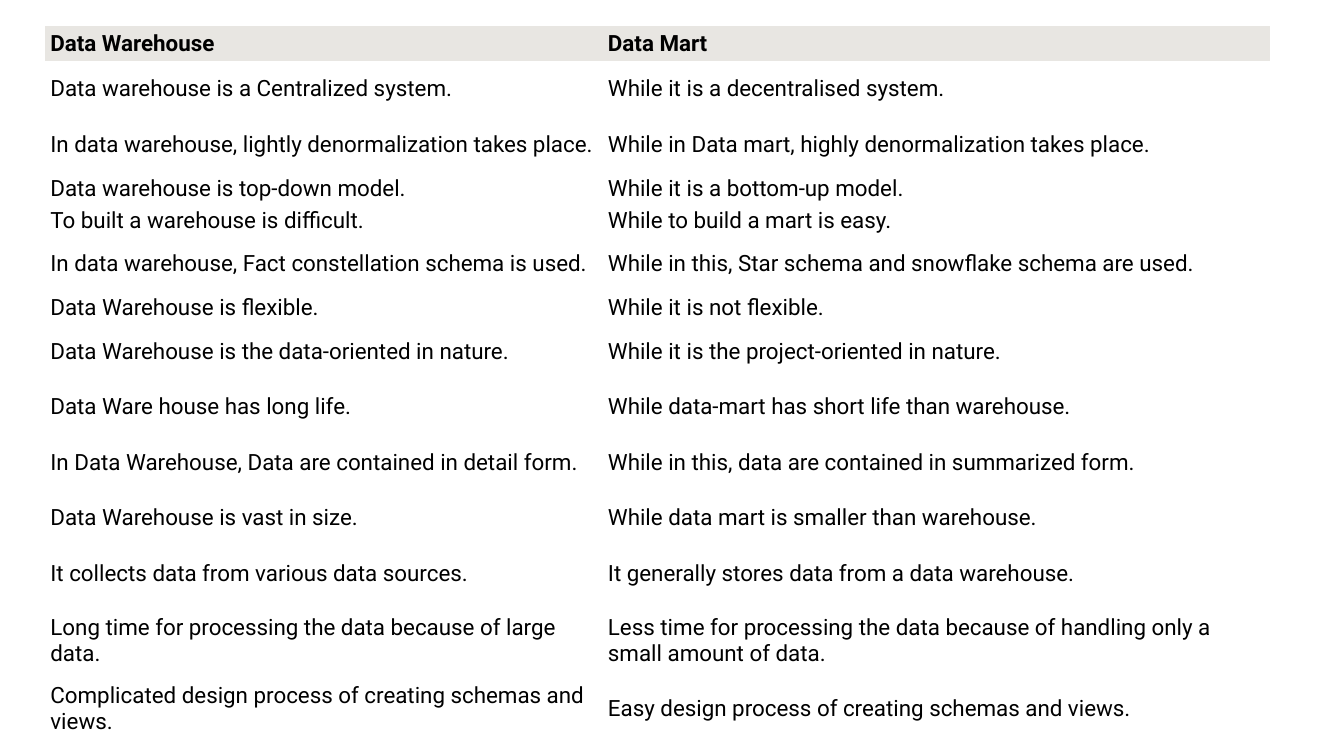
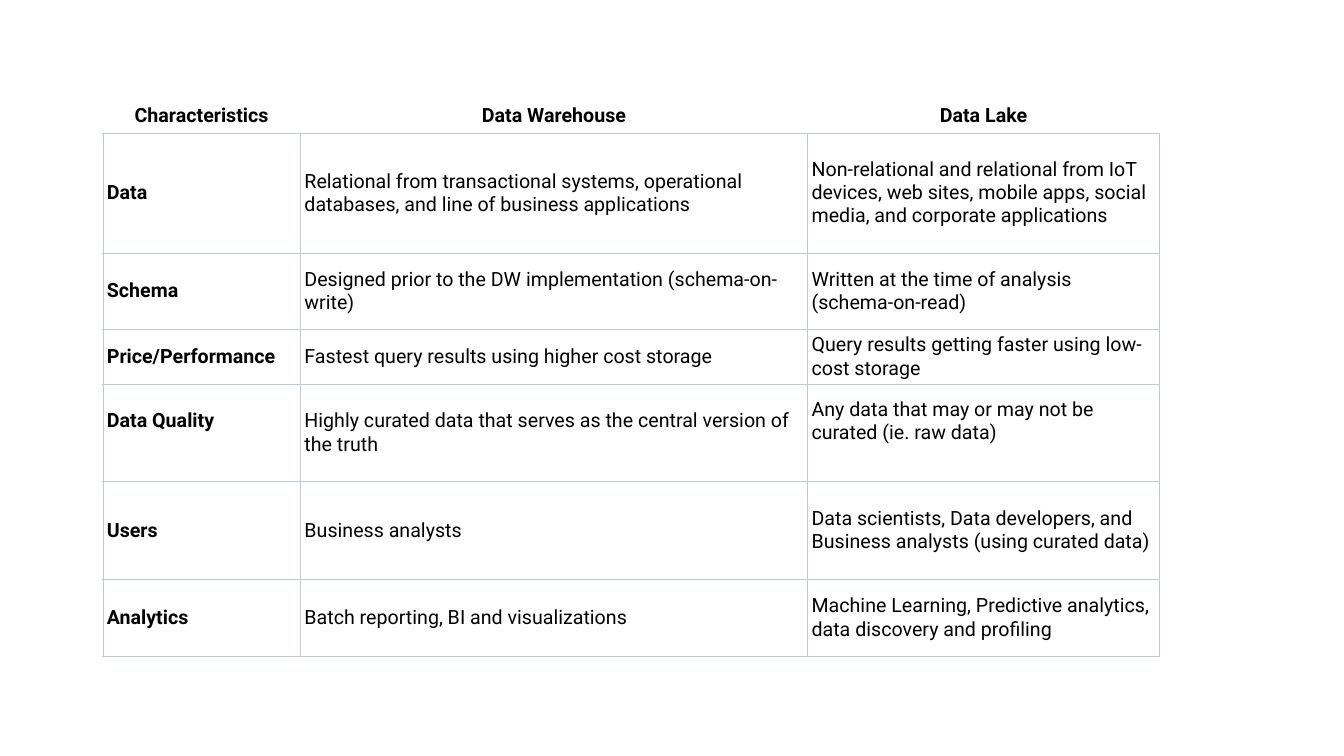
from lxml import etree
from pptx import Presentation
from pptx.dml.color import RGBColor
from pptx.enum.text import MSO_ANCHOR, PP_ALIGN
from pptx.oxml.ns import qn
from pptx.util import Emu, Pt

MIDDLE = MSO_ANCHOR.MIDDLE
LEFT, CENTER = PP_ALIGN.LEFT, PP_ALIGN.CENTER
PX = 9144  # 100 px to the inch
FONT = "Roboto"
HUES = {"ink": "000000", "paper": "FFFFFF", "band": "E8E6E2", "rule": "C0CAD4"}


def px(n):
    return Emu(n * PX)


class Deck:
    def __init__(self):
        self.prs = Presentation()
        self.prs.slide_width, self.prs.slide_height = px(1333), px(750)
        self.slide = None

    def page(self):
        self.slide = self.prs.slides.add_slide(self.prs.slide_layouts[6])

    def grid(self, left, top, cols, rows):
        frame = self.slide.shapes.add_table(
            len(rows), len(cols), px(left), px(top), px(sum(cols)), px(sum(rows)))
        table = frame.table
        table.first_row = table.horz_banding = False
        for col, width in zip(table.columns, cols):
            col.width = px(width)
        for row, height in zip(table.rows, rows):
            row.height = px(height)
        return table

    def cell(self, cell, text, size, pad, bold=False, align=LEFT,
             fill="paper", sides="", drop=0):
        """Fill one cell; drop is extra space below the text."""
        cell.vertical_anchor = MIDDLE
        cell.margin_left = cell.margin_right = px(pad[0])
        cell.margin_top, cell.margin_bottom = px(pad[1]), px(pad[1] + drop)
        cell.fill.solid()
        cell.fill.fore_color.rgb = RGBColor.from_string(HUES[fill])
        cell.text = text
        para = cell.text_frame.paragraphs[0]
        para.alignment = align
        font = para.font
        font.name, font.size, font.bold = FONT, Pt(size), bold
        font.color.rgb = RGBColor.from_string(HUES["ink"])
        self.edges(cell, sides)

    def edges(self, cell, sides):
        """Rule the named sides and leave the others bare."""
        props = cell._tc.get_or_add_tcPr()
        for spot, side in enumerate("LRTB"):
            line = etree.Element(qn("a:ln" + side), w=str(Pt(0.6)))
            if side in sides:
                paint = etree.SubElement(line, qn("a:solidFill"))
                etree.SubElement(paint, qn("a:srgbClr"), val=HUES["rule"])
            else:
                etree.SubElement(line, qn("a:noFill"))
            props.insert(spot, line)


MARTS = [
    ("Data Warehouse", "Data Mart"),
    ("Data warehouse is a Centralized system.", "While it is a decentralised system."),
    ("In data warehouse, lightly denormalization takes place.",
     "While in Data mart, highly denormalization takes place."),
    ("Data warehouse is top-down model.", "While it is a bottom-up model."),
    ("To built a warehouse is difficult.", "While to build a mart is easy."),
    ("In data warehouse, Fact constellation schema is used.",
     "While in this, Star schema and snowflake schema are used."),
    ("Data Warehouse is flexible.", "While it is not flexible."),
    ("Data Warehouse is the data-oriented in nature.",
     "While it is the project-oriented in nature."),
    ("Data Ware house has long life.", "While data-mart has short life than warehouse."),
    ("In Data Warehouse, Data are contained in detail form.",
     "While in this, data are contained in summarized form."),
    ("Data Warehouse is vast in size.", "While data mart is smaller than warehouse."),
    ("It collects data from various data sources.",
     "It generally stores data from a data warehouse."),
    ("Long time for processing the data because of large data.",
     "Less time for processing the data because of handling only a small amount of data."),
    ("Complicated design process of creating schemas and views.",
     "Easy design process of creating schemas and views."),
]

LAKES = [
    ("Characteristics", "Data Warehouse", "Data Lake"),
    ("Data",
     "Relational from transactional systems, operational databases, "
     "and line of business applications",
     "Non-relational and relational from IoT devices, web sites, mobile apps, "
     "social media, and corporate applications"),
    ("Schema", "Designed prior to the DW implementation (schema-on-write)",
     "Written at the time of analysis (schema-on-read)"),
    ("Price/Performance", "Fastest query results using higher cost storage",
     "Query results getting faster using low-cost storage"),
    ("Data Quality", "Highly curated data that serves as the central version of the truth",
     "Any data that may or may not be curated (ie. raw data)"),
    ("Users", "Business analysts",
     "Data scientists, Data developers, and Business analysts (using curated data)"),
    ("Analytics", "Batch reporting, BI and visualizations",
     "Machine Learning, Predictive analytics, data discovery and profiling"),
]
RAISED = {(4, 0), (4, 2)}  # cells whose text sits one line higher
LINE = 23


def marts(deck):
    deck.page()
    low, high = 31, 55
    rows = [35, high, high, low, low, high, low] + [high] * 5 + [78, 57]
    table = deck.grid(45, 26, [553, 662], rows)
    for r, texts in enumerate(MARTS):
        for c, text in enumerate(texts):
            deck.cell(table.cell(r, c), text, 16, (5, 3), bold=r == 0,
                      fill="paper" if r else "band")


def lakes(deck):
    deck.page()
    table = deck.grid(102, 98, [196, 503, 349], [34, 119, 76, 54, 97, 97, 76])
    for r, texts in enumerate(LAKES):
        head = r == 0
        for c, text in enumerate(texts):
            deck.cell(table.cell(r, c), text, 14, (4, 5 if head else 4),
                      bold=head or c == 0, align=CENTER if head else LEFT,
                      sides="B" if head else "LRTB",
                      drop=LINE if (r, c) in RAISED else 0)


def main():
    deck = Deck()
    marts(deck)
    lakes(deck)
    deck.prs.save("out.pptx")


if __name__ == "__main__":
    main()
